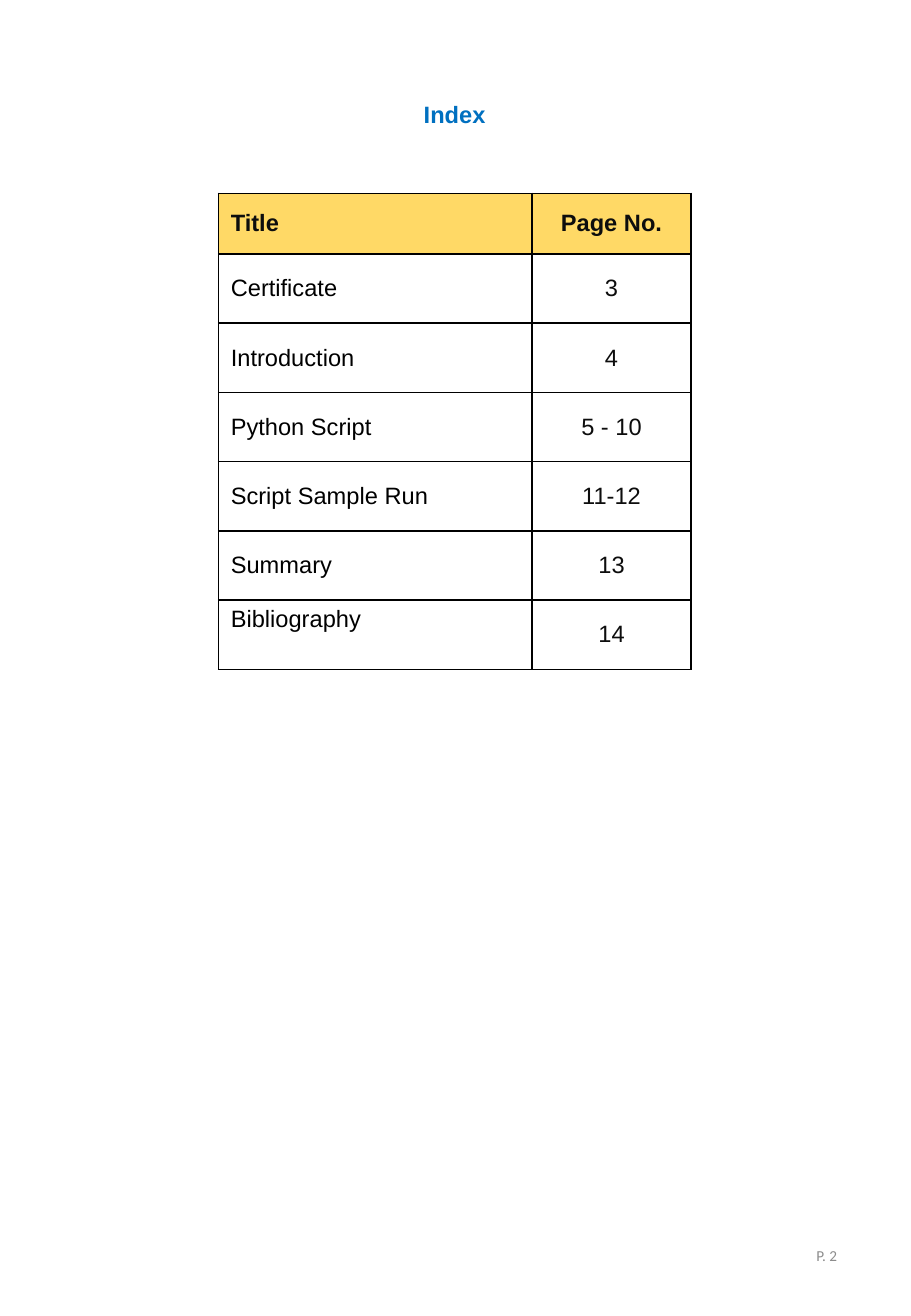
from dataclasses import dataclass

from lxml.etree import SubElement
from pptx import Presentation
from pptx.dml.color import RGBColor
from pptx.enum.text import MSO_ANCHOR, PP_ALIGN
from pptx.oxml.ns import qn
from pptx.slide import Slide
from pptx.table import _Cell
from pptx.text.text import TextFrame
from pptx.util import Inches, Pt

BLACK = RGBColor(0x00, 0x00, 0x00)
INK = RGBColor(0x0D, 0x0D, 0x0D)
BLUE = RGBColor(0x00, 0x70, 0xC0)
GOLD = RGBColor(0xFF, 0xD9, 0x66)
GREY = RGBColor(0x8C, 0x8C, 0x8C)

COLUMN_WIDTHS = (2.58, 1.31)
HEADER_HEIGHT = 0.5
ENTRY_HEIGHT = 0.57


@dataclass(frozen=True)
class TextStyle:
    color: RGBColor
    size: float = 14
    font: str = "Arial"
    bold: bool = False
    align: PP_ALIGN = PP_ALIGN.LEFT


@dataclass(frozen=True)
class Entry:
    title: str
    pages: str
    title_anchor: MSO_ANCHOR = MSO_ANCHOR.MIDDLE


HEADER = Entry("Title", "Page No.")
ENTRIES = (
    Entry("Certificate", "3"),
    Entry("Introduction", "4"),
    Entry("Python Script", "5 - 10"),
    Entry("Script Sample Run", "11-12"),
    Entry("Summary", "13"),
    Entry("Bibliography", "14", MSO_ANCHOR.TOP),
)


def write_text(frame: TextFrame, text: str, style: TextStyle) -> None:
    para = frame.paragraphs[0]
    para.alignment = style.align
    span = para.add_run()
    span.text = text
    span.font.name = style.font
    span.font.size = Pt(style.size)
    span.font.bold = style.bold
    span.font.color.rgb = style.color


def add_text_box(page: Slide, left: float, top: float, width: float, height: float,
                 text: str, style: TextStyle, wrap: bool) -> None:
    box = page.shapes.add_textbox(Inches(left), Inches(top), Inches(width), Inches(height))
    box.text_frame.word_wrap = wrap
    box.text_frame.vertical_anchor = MSO_ANCHOR.MIDDLE
    write_text(box.text_frame, text, style)


def add_borders(cell: _Cell) -> None:
    properties = cell._tc.get_or_add_tcPr()
    for position, side in enumerate(("lnL", "lnR", "lnT", "lnB")):
        line = SubElement(properties, qn(f"a:{side}"), w=str(Pt(1)))
        fill = SubElement(line, qn("a:solidFill"))
        SubElement(fill, qn("a:srgbClr"), val=str(BLACK))
        properties.insert(position, line)


def add_index_table(page: Slide, left: float, top: float) -> None:
    rows = (HEADER, *ENTRIES)
    height = HEADER_HEIGHT + ENTRY_HEIGHT * len(ENTRIES)
    table = page.shapes.add_table(
        len(rows), len(COLUMN_WIDTHS), Inches(left), Inches(top),
        Inches(sum(COLUMN_WIDTHS)), Inches(height)).table
    table.first_row = table.horz_banding = False
    for column, width in zip(table.columns, COLUMN_WIDTHS):
        column.width = Inches(width)
    for row, entry in zip(table.rows, rows):
        is_header = entry is HEADER
        row.height = Inches(HEADER_HEIGHT if is_header else ENTRY_HEIGHT)
        title_cell, pages_cell = row.cells
        title_color = INK if is_header else BLACK
        write_text(title_cell.text_frame, entry.title, TextStyle(title_color, bold=is_header))
        write_text(pages_cell.text_frame, entry.pages,
                   TextStyle(INK, bold=is_header, align=PP_ALIGN.CENTER))
        title_cell.vertical_anchor = entry.title_anchor
        pages_cell.vertical_anchor = MSO_ANCHOR.MIDDLE
        for cell in (title_cell, pages_cell):
            if is_header:
                cell.fill.solid()
                cell.fill.fore_color.rgb = GOLD
            else:
                cell.fill.background()
            add_borders(cell)


def main() -> None:
    deck = Presentation()
    deck.slide_width, deck.slide_height = Inches(7.5), Inches(10.83)
    page = deck.slides.add_slide(deck.slide_layouts[6])
    add_index_table(page, 1.8, 1.59)
    add_text_box(page, 3.39, 0.77, 0.71, 0.34, "Index",
                 TextStyle(BLUE, bold=True), wrap=False)
    add_text_box(page, 5.3, 10.04, 1.69, 0.58, "P. 2",
                 TextStyle(GREY, 9, "Calibri", align=PP_ALIGN.RIGHT), wrap=True)
    deck.save("out.pptx")


if __name__ == "__main__":
    main()
